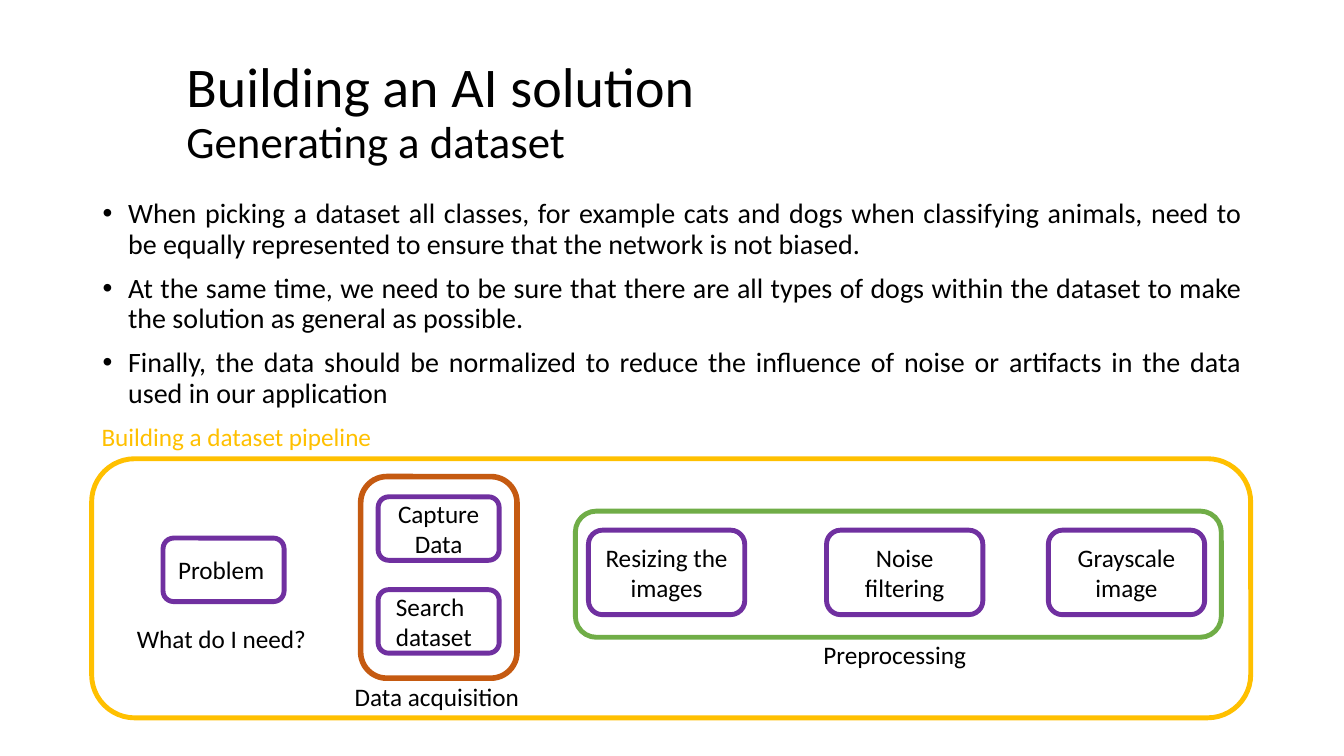
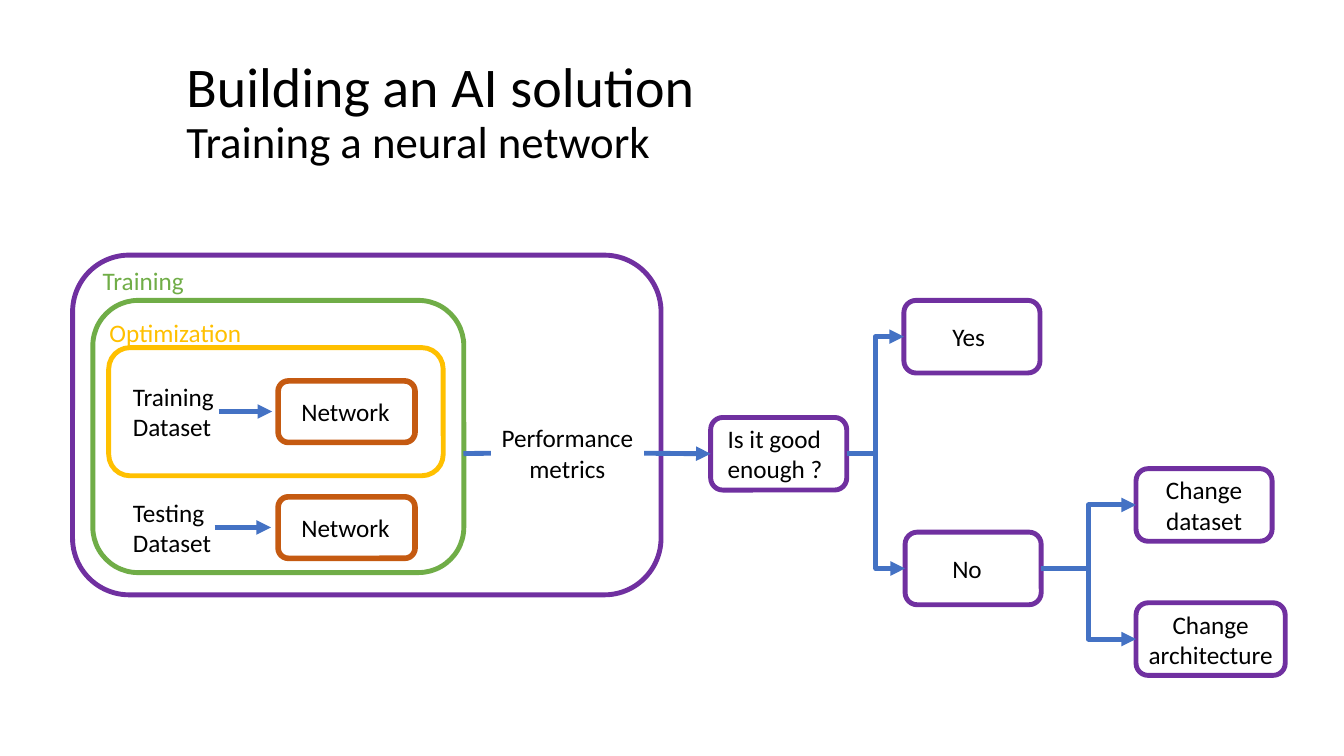
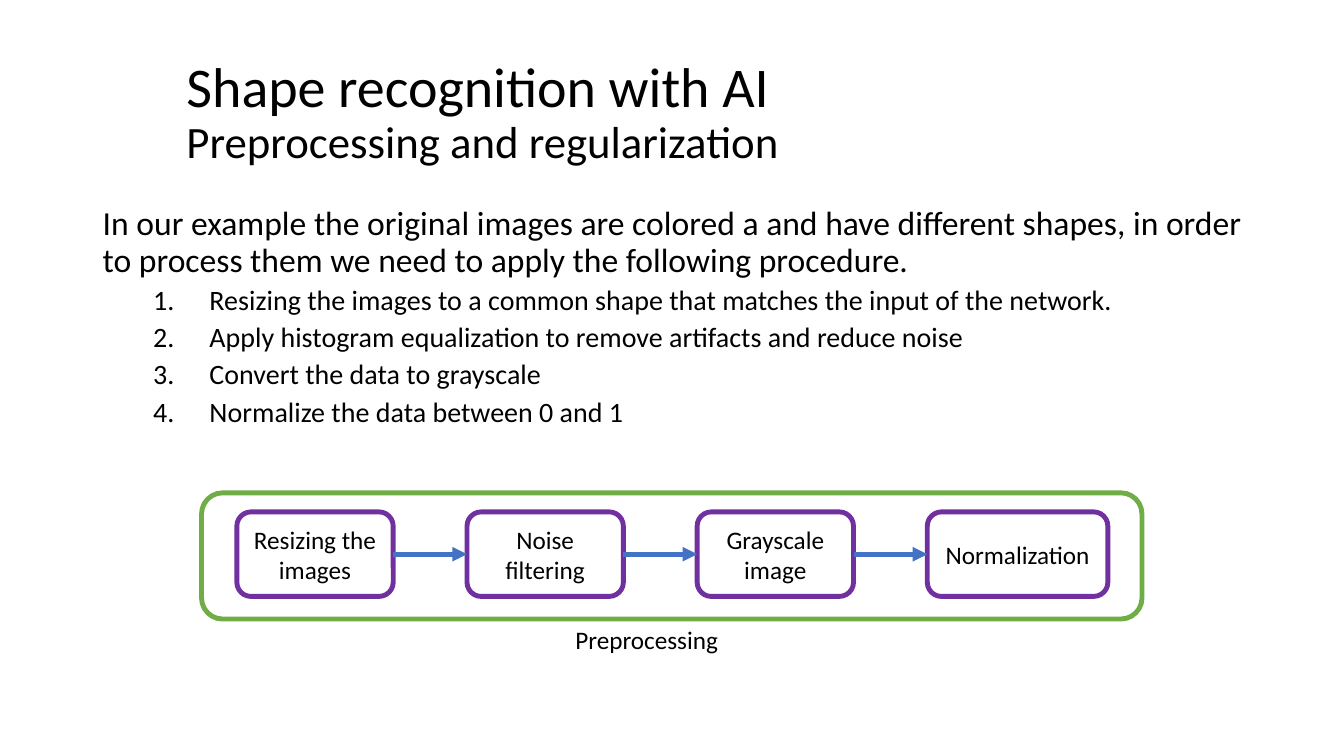
from dataclasses import dataclass
from typing import Any, Optional, Union

from lxml import etree
from pptx import Presentation
from pptx import util as u
from pptx.dml import color
from pptx.enum import shapes, text
from pptx.oxml import ns

Cm, Pt = u.Cm, u.Pt
COLORS = {
    "text": "000000",
    "purple": "7030A0",
    "green": "70AD47",
    "yellow": "FFC000",
    "orange": "C55A11",
    "arrow": "4472C4",
}
LEFT, CENTER, JUSTIFY = text.PP_ALIGN.LEFT, text.PP_ALIGN.CENTER, text.PP_ALIGN.JUSTIFY
STRAIGHT, ELBOW = shapes.MSO_CONNECTOR.STRAIGHT, shapes.MSO_CONNECTOR.ELBOW
FONT = "Calibri"
LINE_WIDTH = 3.5


# Content types; all positions and sizes are in centimetres
@dataclass
class Box:
    left: float
    top: float
    width: float
    height: float
    color: str = "purple"
    words: str = ""
    align: Any = CENTER
    inset: float = 0.25
    weight: float = LINE_WIDTH


@dataclass
class Label:
    words: str
    left: float
    top: float
    width: float
    color: str = "text"
    align: Any = LEFT
    inset: float = 0.25
    height: float = 1.02


@dataclass
class Item:
    words: str
    size: float = 20
    space: float = 10
    indent: float = 0
    hanging: float = 0
    bullet: Optional[tuple[str, dict[str, str]]] = None


Point = tuple[float, float]
DOT = ("a:buChar", {"char": "•"})
NUMBER = ("a:buAutoNum", {"type": "arabicPeriod"})


# Shared helpers
def apply(target: Any, values: dict[str, Any]) -> None:
    for key, value in values.items():
        setattr(target, key, value)


def rgb(name: str) -> color.RGBColor:
    return color.RGBColor.from_string(COLORS[name])


def style_font(font: Any, size: float = 18, tint: str = "text") -> None:
    apply(font, {"name": FONT, "size": Pt(size)})
    font.color.rgb = rgb(tint)


def set_frame(frame: Any, inset: float, top: float, anchor: Any) -> None:
    apply(frame, {
        "word_wrap": True, "vertical_anchor": anchor,
        "margin_left": Cm(inset), "margin_right": Cm(inset),
        "margin_top": Cm(top), "margin_bottom": Cm(top),
    })


def write(frame: Any, words: str, align: Any, tint: str = "text") -> None:
    frame.text = words
    for paragraph in frame.paragraphs:
        paragraph.alignment = align
        for run in paragraph.runs:
            style_font(run.font, tint=tint)


def add_box(slide: Any, box: Box) -> Any:
    shape = slide.shapes.add_shape(
        shapes.MSO_SHAPE.ROUNDED_RECTANGLE,
        Cm(box.left), Cm(box.top), Cm(box.width), Cm(box.height))
    shape.shadow.inherit = False
    shape.fill.background()
    shape.line.color.rgb = rgb(box.color)
    shape.line.width = Pt(box.weight)
    if box.words:
        set_frame(shape.text_frame, box.inset, 0, text.MSO_ANCHOR.MIDDLE)
        write(shape.text_frame, box.words, box.align)
    return shape


def add_label(slide: Any, label: Label) -> Any:
    area = slide.shapes.add_textbox(
        Cm(label.left), Cm(label.top), Cm(label.width), Cm(label.height))
    set_frame(area.text_frame, label.inset, 0.13, text.MSO_ANCHOR.TOP)
    write(area.text_frame, label.words, label.align, label.color)
    return area


def connect(slide: Any, start: Union[Point, Any], end: Union[Point, Any],
            kind: Any = STRAIGHT, arrow: bool = True) -> None:
    """Link points, or the right side of one shape to the left side of the next."""
    begin_xy, end_xy = (
        [Cm(value) for value in spot] if isinstance(spot, tuple) else [0, 0]
        for spot in (start, end))
    link = slide.shapes.add_connector(kind, *begin_xy, *end_xy)
    if not isinstance(start, tuple):
        link.begin_connect(start, 3)
    if not isinstance(end, tuple):
        link.end_connect(end, 1)
    link.line.color.rgb = rgb("arrow")
    link.line.width = Pt(LINE_WIDTH)
    if arrow:
        etree.SubElement(link.line._get_or_add_ln(), ns.qn("a:tailEnd"), type="triangle")
    etree.SubElement(link._element.spPr, ns.qn("a:effectLst"))


def add_title(slide: Any, heading: str, subheading: str) -> None:
    frame = slide.shapes.add_textbox(Cm(4.45), Cm(1.02), Cm(21.26), Cm(3.68)).text_frame
    set_frame(frame, 0.25, 0.13, text.MSO_ANCHOR.MIDDLE)
    paragraph = frame.paragraphs[0]
    paragraph.line_spacing = 0.9
    for words, size in ((heading, 40), (subheading, 32)):
        if paragraph.runs:
            paragraph.add_line_break()
        run = paragraph.add_run()
        run.text = words
        style_font(run.font, size)


def add_body(slide: Any, top: float, height: float, items: list[Item]) -> None:
    frame = slide.shapes.add_textbox(Cm(2.34), Cm(top), Cm(29.21), Cm(height)).text_frame
    set_frame(frame, 0.25, 0.13, text.MSO_ANCHOR.TOP)
    for index, item in enumerate(items):
        paragraph = frame.add_paragraph() if index else frame.paragraphs[0]
        apply(paragraph, {"alignment": JUSTIFY, "line_spacing": 0.9,
                          "space_before": Pt(item.space)})
        run = paragraph.add_run()
        run.text = item.words
        style_font(run.font, item.size)
        if item.bullet:
            props = paragraph._p.get_or_add_pPr()
            props.set("marL", str(int(Cm(item.indent))))
            props.set("indent", str(-int(Cm(item.hanging))))
            tag, values = item.bullet
            etree.SubElement(props, ns.qn("a:buFont"), typeface="Arial" if tag == "a:buChar" else FONT)
            etree.SubElement(props, ns.qn(tag), values)


def step_box(left: float, top: float, words: str, width: float = 3.94) -> Box:
    return Box(left, top, width, 2.13, words=words)


def choice_box(left: float, top: float, words: str, **options: Any) -> Box:
    return Box(left, top, options.pop("width", 3.43), 1.83, words=words, **options)


STEPS = ["Resizing the images", "Noise filtering", "Grayscale image"]


# Slide 1: dataset pipeline
def dataset_slide(slide: Any) -> None:
    add_title(slide, "Building an AI solution", "Generating a dataset")
    rules = [
        "When picking a dataset all classes, for example cats and dogs when classifying "
        "animals, need to be equally represented to ensure that the network is not biased.",
        "At the same time, we need to be sure that there are all types of dogs within the "
        "dataset to make the solution as general as possible.",
        "Finally, the data should be normalized to reduce the influence of noise or "
        "artifacts in the data used in our application",
    ]
    add_body(slide, 4.9, 7.04, [
        Item(rule, indent=0.64, hanging=0.64, bullet=DOT) for rule in rules])

    boxes = [
        Box(2.31, 11.56, 29.21, 6.53, "yellow"),
        Box(9.09, 12.01, 3.94, 5.08, "orange", weight=4),
        Box(14.5, 12.88, 16.28, 3.18, "green"),
        Box(4.11, 13.56, 3.05, 1.6, words="Problem", align=LEFT, inset=0.3),
        Box(9.53, 12.52, 3.05, 1.6, words="Capture Data"),
        Box(9.53, 14.86, 3.05, 1.6, words="Search\ndataset", align=LEFT, inset=0.37),
    ]
    boxes += [step_box(left, 13.36, step) for left, step in zip((14.83, 20.83, 26.42), STEPS)]
    for box in boxes:
        add_box(slide, box)
    for label in (
        Label("What do I need?", 3.2, 15.57, 4.93),
        Label("Data acquisition", 8.69, 17.04, 4.93),
        Label("Preprocessing", 20.5, 15.98, 4.6),
        Label("Building a dataset pipeline", 2.31, 10.49, 7.42, "yellow"),
    ):
        add_label(slide, label)


# Slide 2: training loop and decisions
def training_slide(slide: Any) -> None:
    add_title(slide, "Building an AI solution", "Training a neural network")
    for frame in (
        Box(1.83, 6.43, 14.83, 8.56),
        Box(2.34, 7.57, 9.35, 6.86, "green"),
        Box(2.74, 8.76, 8.43, 3.23, "yellow"),
    ):
        add_box(slide, frame)
    for label in (
        Label("Training", 2.34, 6.55, 2.59, "green"),
        Label("Optimization", 2.51, 7.87, 3.99, "yellow"),
    ):
        add_label(slide, label)

    # Each dataset feeds the network
    for words, top, tail, head in (("Training\nDataset", 9.6, 5.51, 6.86),
                                   ("Testing\nDataset", 12.52, 5.41, 6.83)):
        add_box(slide, Box(7.01, top, 3.45, 1.55, "orange", "Network", LEFT, 0.51, 4))
        add_label(slide, Label(words, 3.1, top - 0.13, 2.8, height=1.8))
        connect(slide, (tail, top + 0.77), (head, top + 0.77))

    # Decision tree
    metrics = add_label(slide, Label("Performance\nmetrics", 12.37, 10.52, 3.86,
                                     align=CENTER, inset=0.1, height=1.8))
    question, yes, no, dataset, architecture = (add_box(slide, choice) for choice in (
        choice_box(17.91, 10.52, "Is it good\nenough ?", align=LEFT, inset=0.34),
        choice_box(22.78, 7.57, "Yes", align=LEFT, inset=1.13),
        choice_box(22.81, 13.41, "No", align=LEFT, inset=1.1),
        choice_box(28.63, 11.81, "Change dataset"),
        choice_box(28.63, 15.19, "Change architecture", width=3.76, inset=0.1),
    ))
    connect(slide, (11.68, 11.43), metrics, arrow=False)
    connect(slide, metrics, question)
    for origin, answer in ((question, yes), (question, no), (no, dataset), (no, architecture)):
        connect(slide, origin, answer, ELBOW)


# Slide 3: preprocessing chain
def preprocessing_slide(slide: Any) -> None:
    add_title(slide, "Shape recognition with AI", "Preprocessing and regularization")
    procedure = [
        "Resizing the images to a common shape that matches the input of the network.",
        "Apply histogram equalization to remove artifacts and reduce noise",
        "Convert the data to grayscale",
        "Normalize the data between 0 and 1",
    ]
    intro = Item("In our example the original images are colored a and have different shapes, in "
                 "order to process them we need to apply the following procedure.", size=24)
    add_body(slide, 5.08, 6.38, [intro] + [
        Item(action, space=5, indent=2.69, hanging=1.42, bullet=NUMBER) for action in procedure])

    add_box(slide, Box(5.08, 12.42, 23.7, 3.18, "green"))
    add_label(slide, Label("Preprocessing", 14.25, 15.6, 4.6))
    first_left, pitch = 5.97, 5.8
    chain = [
        add_box(slide, step_box(first_left + index * pitch, 12.9, step,
                                4.55 if step == "Normalization" else 3.94))
        for index, step in enumerate(STEPS + ["Normalization"])]
    for step, following in zip(chain, chain[1:]):
        connect(slide, step, following)


def main() -> None:
    deck = Presentation()
    apply(deck, {"slide_width": Cm(33.87), "slide_height": Cm(19.05)})
    for build in (dataset_slide, training_slide, preprocessing_slide):
        build(deck.slides.add_slide(deck.slide_layouts[6]))
    deck.save("out.pptx")


if __name__ == "__main__":
    main()
